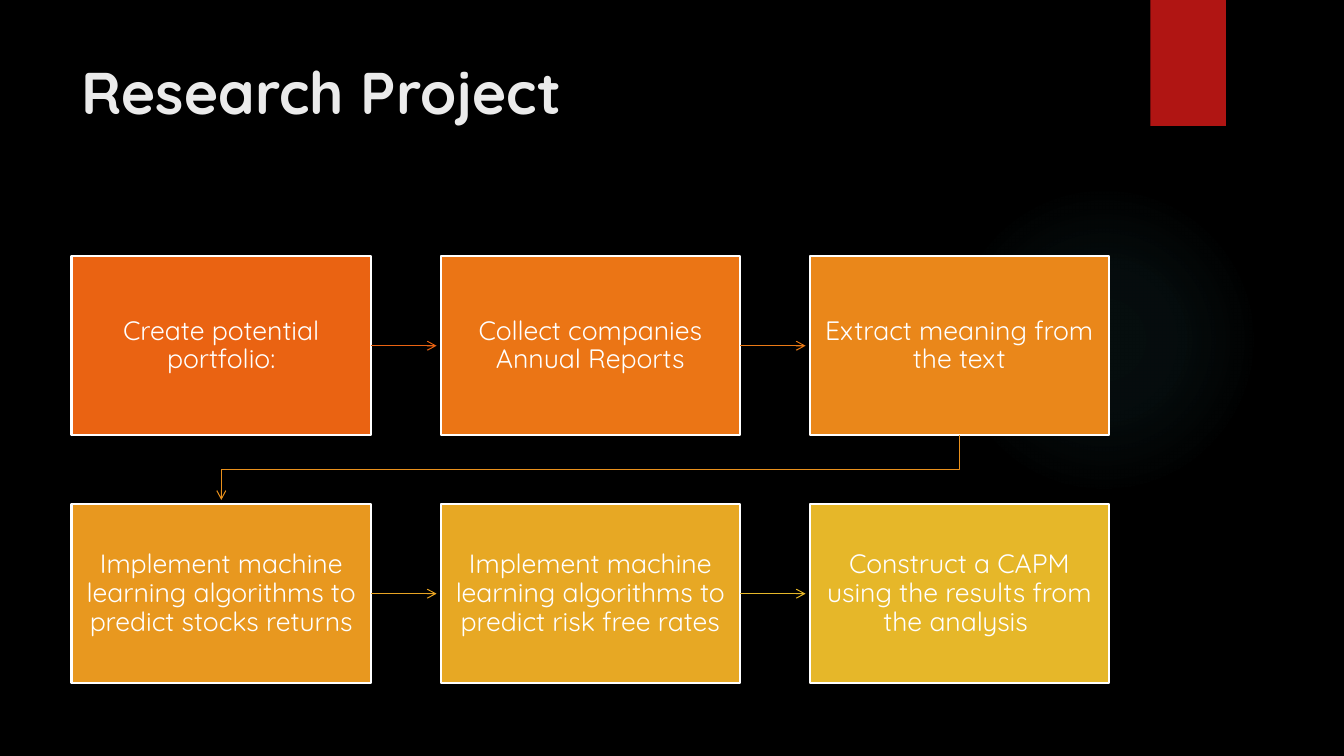
import pptx
import pptx.dml.color
import pptx.enum.shapes
import pptx.enum.text
import pptx.oxml
import pptx.oxml.ns
import pptx.util
from pptx.util import Inches

FONT = "Quicksand"
COLORS = {
    "background": "000000",
    "title": "EBEBEB",
    "white": "FFFFFF",
    "tab": "B01513",
    "glow": "50B9C1",
}
# Text, box colour and colour of the arrow leading to the next step
STEPS = [
    ("Create potential portfolio:", "EA6312", "EA6312"),
    ("Collect companies Annual Reports", "EB7515", "EB7A16"),
    ("Extract meaning from the text", "EA871A", "E9901C"),
    ("Implement machine learning algorithms to predict stocks returns", "E8981F", "E8A423"),
    ("Implement machine learning algorithms to predict risk free rates", "E7A824", "E6B729"),
    ("Construct a CAPM using the results from the analysis ", "E6B729", None),
]
COLUMNS = 3
LEFT, TOP = 0.71, 2.54
BOX_WIDTH, BOX_HEIGHT = 2.97, 1.78
COLUMN_STEP, ROW_STEP = 3.66, 2.46
ARROW_GAP = 0.04


def rgb(value):
    return pptx.dml.color.RGBColor.from_string(value)


def style_arrow(shape, color):
    """Give a line its colour, width and open arrowhead."""
    shape.line.color.rgb = rgb(color)
    shape.line.width = pptx.util.Pt(0.75)
    tail = pptx.oxml.parse_xml(f'<a:tailEnd {pptx.oxml.ns.nsdecls("a")} type="arrow"/>')
    shape.line._get_or_add_ln().append(tail)


presentation = pptx.Presentation()
presentation.slide_width = Inches(13.33)
presentation.slide_height = Inches(7.5)
slide = presentation.slides.add_slide(presentation.slide_layouts[5])
slide.background.fill.solid()
slide.background.fill.fore_color.rgb = rgb(COLORS["background"])
shapes = slide.shapes
shape_types = pptx.enum.shapes.MSO_SHAPE

# Soft glow on the right
glow = shapes.add_shape(shape_types.OVAL, Inches(9.41), Inches(1.83), Inches(3.08), Inches(3.08))
glow.shadow.inherit = False
glow.line.fill.background()
stops = "".join(
    f'<a:gs pos="{position * 1000}"><a:srgbClr val="{COLORS["glow"]}">'
    f'<a:alpha val="{alpha * 1000}"/></a:srgbClr></a:gs>'
    for position, alpha in [(0, 7), (36, 6), (69, 0), (100, 0)]
)
gradient = pptx.oxml.parse_xml(
    f'<a:gradFill {pptx.oxml.ns.nsdecls("a")} rotWithShape="1"><a:gsLst>{stops}</a:gsLst>'
    '<a:path path="circle"><a:fillToRect l="50000" t="50000" r="50000" b="50000"/></a:path>'
    '</a:gradFill>'
)
glow._element.spPr.find(pptx.oxml.ns.qn("a:prstGeom")).addnext(gradient)

# Red tab at the top edge
tab = shapes.add_shape(shape_types.RECTANGLE, Inches(11.41), 0, Inches(0.75), Inches(1.25))
tab.shadow.inherit = False
tab.fill.solid()
tab.fill.fore_color.rgb = rgb(COLORS["tab"])
tab.line.fill.background()

# Title
title = shapes.title
title.left, title.top = Inches(LEFT), Inches(0.5)
title.width, title.height = Inches(10.29), Inches(1.53)
title.text_frame.vertical_anchor = pptx.enum.text.MSO_ANCHOR.TOP
title_paragraph = title.text_frame.paragraphs[0]
title_paragraph.alignment = pptx.enum.text.PP_ALIGN.LEFT
title_run = title_paragraph.add_run()
title_run.text = "Research Project"
title_run.font.name = FONT
title_run.font.size = pptx.util.Pt(42)
title_run.font.bold = True
title_run.font.color.rgb = rgb(COLORS["title"])

# Steps and the arrows between them
for index, (text, box_color, arrow_color) in enumerate(STEPS):
    row, column = divmod(index, COLUMNS)
    left = LEFT + column * COLUMN_STEP
    top = TOP + row * ROW_STEP
    box = shapes.add_shape(
        shape_types.RECTANGLE, Inches(left), Inches(top), Inches(BOX_WIDTH), Inches(BOX_HEIGHT)
    )
    box.shadow.inherit = False
    box.fill.solid()
    box.fill.fore_color.rgb = rgb(box_color)
    box.line.color.rgb = rgb(COLORS["white"])
    box.line.width = pptx.util.Pt(1.5)

    frame = box.text_frame
    frame.word_wrap = True
    frame.vertical_anchor = pptx.enum.text.MSO_ANCHOR.MIDDLE
    frame.margin_left = frame.margin_right = Inches(0.15)
    frame.margin_top = frame.margin_bottom = Inches(0.15)
    paragraph = frame.paragraphs[0]
    paragraph.alignment = pptx.enum.text.PP_ALIGN.CENTER
    paragraph.line_spacing = 0.9
    run = paragraph.add_run()
    run.text = text
    run.font.name = FONT
    run.font.size = pptx.util.Pt(19)
    run.font.color.rgb = rgb(COLORS["white"])

    if arrow_color is None:
        continue
    if column < COLUMNS - 1:
        middle = Inches(top + BOX_HEIGHT / 2)
        arrow = shapes.add_connector(
            pptx.enum.shapes.MSO_CONNECTOR.STRAIGHT,
            Inches(left + BOX_WIDTH), middle,
            Inches(left + COLUMN_STEP - ARROW_GAP), middle,
        )
        arrow.begin_connect(box, 3)
        arrow._element.spPr.append(
            pptx.oxml.parse_xml(f'<a:effectLst {pptx.oxml.ns.nsdecls("a")}/>')
        )
        # The line must stand before the effect list
        style_arrow(arrow, arrow_color)
    else:
        start_x = Inches(left + BOX_WIDTH / 2)
        end_x = Inches(LEFT + BOX_WIDTH / 2)
        bottom = top + BOX_HEIGHT
        next_top = top + ROW_STEP
        turn_y = Inches((bottom + next_top) / 2)
        builder = shapes.build_freeform(start_x, Inches(bottom))
        builder.add_line_segments(
            [(start_x, turn_y), (end_x, turn_y), (end_x, Inches(next_top - ARROW_GAP))],
            close=False,
        )
        return_arrow = builder.convert_to_shape()
        return_arrow.shadow.inherit = False
        return_arrow.fill.background()
        style_arrow(return_arrow, arrow_color)

presentation.save("out.pptx")
